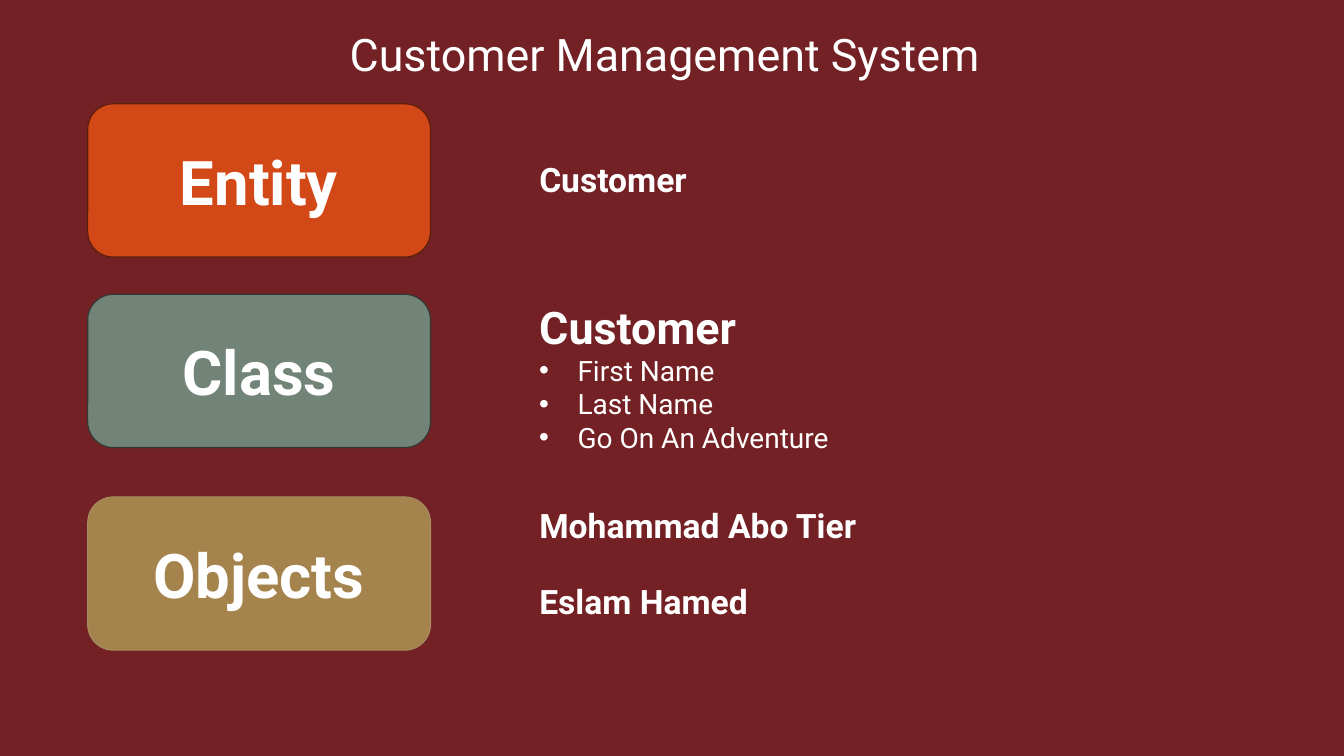
from lxml import etree
from pptx import Presentation
from pptx.dml.color import RGBColor
from pptx.enum.shapes import MSO_SHAPE
from pptx.enum.text import MSO_ANCHOR, PP_ALIGN
from pptx.oxml.ns import qn
from pptx.util import Inches, Pt

ROUNDED = MSO_SHAPE.ROUNDED_RECTANGLE
MIDDLE = MSO_ANCHOR.MIDDLE
LEFT, CENTER = PP_ALIGN.LEFT, PP_ALIGN.CENTER

FONT = "Roboto"
COLORS = {
    "background": "732124",
    "text": "FFFFFF",
    "entity": "D34817",
    "entity_edge": "5C200A",
    "class": "728377",
    "class_edge": "323934",
    "objects": "A5834D",
    "objects_edge": "A68D65",
}

TITLE = "Customer Management System"
CONCEPTS = [
    ("Entity", "entity", 1.03, 0.85),
    ("Class", "class", 2.92, 0.85),
    ("Objects", "objects", 4.93, 0.75),
]
ENTITY_NAME = "Customer"
CLASS_NAME = "Customer"
CLASS_MEMBERS = ["First Name", "Last Name", "Go On An Adventure"]
OBJECT_NAMES = ["Mohammad Abo Tier", "Eslam Hamed"]

CARD_LEFT, CARD_WIDTH, CARD_HEIGHT = 0.87, 3.4, 1.52
DETAIL_LEFT = 5.25
OBJECTS_TOP, OBJECTS_STEP = 4.96, 0.75
BULLET_INDENT = 0.38


def color(name):
    return RGBColor.from_string(COLORS[name])


def write(paragraph, text, size, bold=False, align=LEFT, bullet=False):
    if bullet:
        properties = paragraph._p.get_or_add_pPr()
        properties.set("marL", str(Inches(BULLET_INDENT)))
        properties.set("indent", str(-Inches(BULLET_INDENT)))
        bullet_font = etree.SubElement(properties, qn("a:buFont"))
        bullet_font.set("typeface", "Arial")
        etree.SubElement(properties, qn("a:buChar")).set("char", "•")
    paragraph.alignment = align
    run = paragraph.add_run()
    run.text = text
    run.font.name = FONT
    run.font.size = Pt(size)
    run.font.bold = bold
    run.font.color.rgb = color("text")


def add_text_frame(slide, left, top, width, height, wrap=True):
    box = slide.shapes.add_textbox(Inches(left), Inches(top), Inches(width), Inches(height))
    box.text_frame.word_wrap = wrap
    return box.text_frame


def add_concept(slide, label, key, top, edge_width):
    card = slide.shapes.add_shape(
        ROUNDED, Inches(CARD_LEFT), Inches(top), Inches(CARD_WIDTH), Inches(CARD_HEIGHT)
    )
    card.shadow.inherit = False
    card.fill.solid()
    card.fill.fore_color.rgb = color(key)
    card.line.color.rgb = color(f"{key}_edge")
    card.line.width = Pt(edge_width)
    card.text_frame.vertical_anchor = MIDDLE
    write(card.text_frame.paragraphs[0], label, size=44, bold=True, align=CENTER)


def main():
    deck = Presentation()
    deck.slide_width, deck.slide_height = Inches(13.33), Inches(7.5)
    slide = deck.slides.add_slide(deck.slide_layouts[6])
    slide.background.fill.solid()
    slide.background.fill.fore_color.rgb = color("background")

    title = add_text_frame(slide, 3.37, 0.22, 6.6, 0.64, wrap=False)
    write(title.paragraphs[0], TITLE, size=32)

    for concept in CONCEPTS:
        add_concept(slide, *concept)

    entity = add_text_frame(slide, DETAIL_LEFT, 1.53, 1.95, 0.5)
    write(entity.paragraphs[0], ENTITY_NAME, size=24, bold=True)

    class_detail = add_text_frame(slide, DETAIL_LEFT, 2.92, 3.4, 1.65)
    write(class_detail.paragraphs[0], CLASS_NAME, size=32, bold=True)
    for member in CLASS_MEMBERS:
        write(class_detail.add_paragraph(), member, size=20, bullet=True)

    for index, name in enumerate(OBJECT_NAMES):
        top = OBJECTS_TOP + index * OBJECTS_STEP
        instance = add_text_frame(slide, DETAIL_LEFT, top, 3.62, 0.5)
        write(instance.paragraphs[0], name, size=24, bold=True)

    deck.save("out.pptx")


if __name__ == "__main__":
    main()
